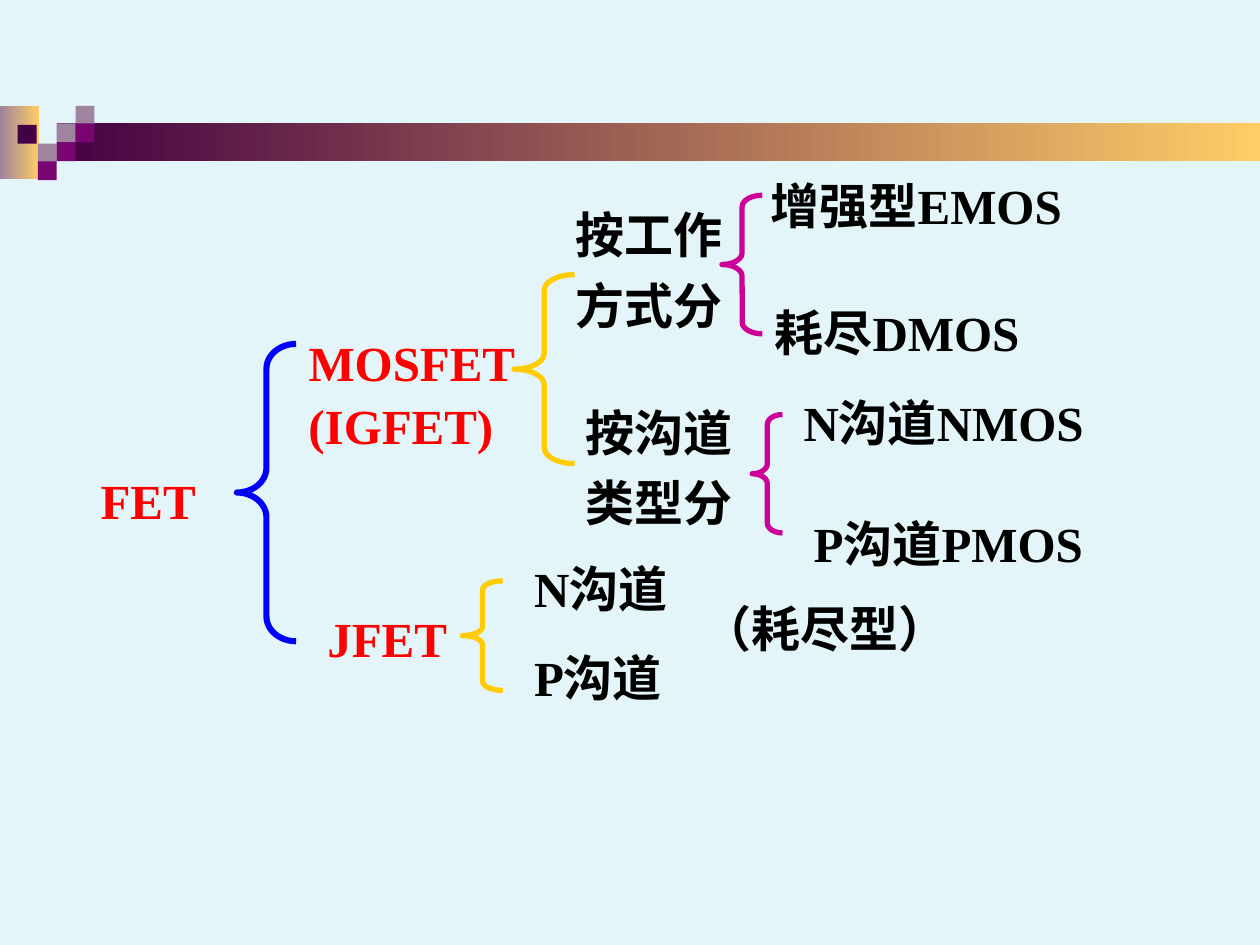
from pptx import Presentation
from pptx.dml.color import RGBColor
from pptx.enum.shapes import MSO_SHAPE
from pptx.enum.text import MSO_ANCHOR, MSO_AUTO_SIZE, PP_ALIGN
from pptx.util import Inches, Pt

COLORS = {
    "back": "E3F5F9",
    "black": "000000",
    "red": "FF0000",
    "blue": "0000FF",
    "gold": "FFCC00",
    "pink": "CC0099",
    "sand": "FFCC66",
    "mauve": "9F839F",
    "plum": "790571",
    "dark": "440044",
}


def color(name):
    return RGBColor.from_string(COLORS[name])


class Deck:
    font = "Times New Roman"
    size = 28

    def __init__(self, width, height):
        self.file = Presentation()
        self.file.slide_width = Inches(width)
        self.file.slide_height = Inches(height)
        self.slide = None

    def page(self, back):
        self.slide = self.file.slides.add_slide(self.file.slide_layouts[6])
        fill = self.slide.background.fill
        fill.solid()
        fill.fore_color.rgb = color(back)

    def shape(self, kind, *box):
        shape = self.slide.shapes.add_shape(kind, *map(Inches, box))
        shape.shadow.inherit = False
        return shape

    def block(self, *box, fill):
        shape = self.shape(MSO_SHAPE.RECTANGLE, *box)
        shape.line.fill.background()
        shape.fill.solid()
        shape.fill.fore_color.rgb = color(fill)
        return shape

    def blend(self, *box, start, end):
        fill = self.block(*box, fill=start).fill
        fill.gradient()
        fill.gradient_angle = 0
        for stop, name, place in zip(fill.gradient_stops, (start, end), (0, 1)):
            stop.color.rgb = color(name)
            stop.position = place

    def brace(self, left, top, width, height, tint, weight=3):
        shape = self.shape(MSO_SHAPE.LEFT_BRACE, left, top, width, height)
        shape.adjustments[0] = height / 12 / width
        shape.fill.background()
        shape.line.color.rgb = color(tint)
        shape.line.width = Pt(weight)

    def text(self, text, left, top, width, height=0.66, tint="black"):
        box = self.slide.shapes.add_textbox(*map(Inches, (left, top, width, height)))
        frame = box.text_frame
        frame.word_wrap = True
        frame.auto_size = MSO_AUTO_SIZE.SHAPE_TO_FIT_TEXT
        frame.vertical_anchor = MSO_ANCHOR.TOP
        line = frame.paragraphs[0]
        line.alignment = PP_ALIGN.LEFT
        line.line_spacing = 1.2
        run = line.add_run()
        run.text = text
        run.font.name = self.font
        run.font.size = Pt(self.size)
        run.font.bold = True
        run.font.color.rgb = color(tint)


def main():
    deck = Deck(10, 7.5)
    deck.page("back")

    deck.blend(0, 0.84, 0.31, 0.58, start="mauve", end="sand")
    deck.blend(0.45, 0.98, 9.55, 0.3, start="dark", end="sand")
    tile = 0.15
    for left, top, fill in (
        (0.45, 0.98, "mauve"),
        (0.6, 0.84, "mauve"),
        (0.6, 0.98, "plum"),
        (0.3, 1.14, "mauve"),
        (0.14, 0.99, "dark"),
        (0.45, 1.13, "plum"),
        (0.3, 1.28, "plum"),
    ):
        deck.block(left, top, tile, tile, fill=fill)

    for label, *box in (
        ("N沟道", 4.14, 4.29, 1.42),
        ("P沟道", 4.14, 5, 1.42),
        ("增强型EMOS", 6.02, 1.25, 3.07),
        ("耗尽DMOS", 6.05, 2.26, 2.68),
        ("按工作方式分", 4.47, 1.48, 1.42, 1.22),
        ("按沟道类型分", 4.55, 3.05, 1.42, 1.22),
        ("N沟道NMOS", 6.28, 2.97, 2.84),
        ("P沟道PMOS", 6.36, 3.93, 2.68),
        ("（耗尽型）", 5.48, 4.61, 2.17),
    ):
        deck.text(label, *box)

    for label, *box in (
        ("FET", 0.7, 3.59, 1.46),
        ("JFET", 2.5, 4.69, 1.42),
        ("MOSFET", 2.35, 2.5, 2.08),
        ("(IGFET)", 2.35, 3, 2),
    ):
        deck.text(label, *box, tint="red")

    deck.brace(1.88, 2.73, 0.47, 2.36, "blue", weight=3.5)
    deck.brace(3.67, 4.61, 0.32, 0.87, "gold")
    deck.brace(4.08, 2.18, 0.48, 1.5, "gold")
    deck.brace(5.97, 3.29, 0.24, 0.94, "pink")
    deck.brace(5.73, 1.55, 0.32, 1.1, "pink")

    deck.file.save("out.pptx")


if __name__ == "__main__":
    main()
